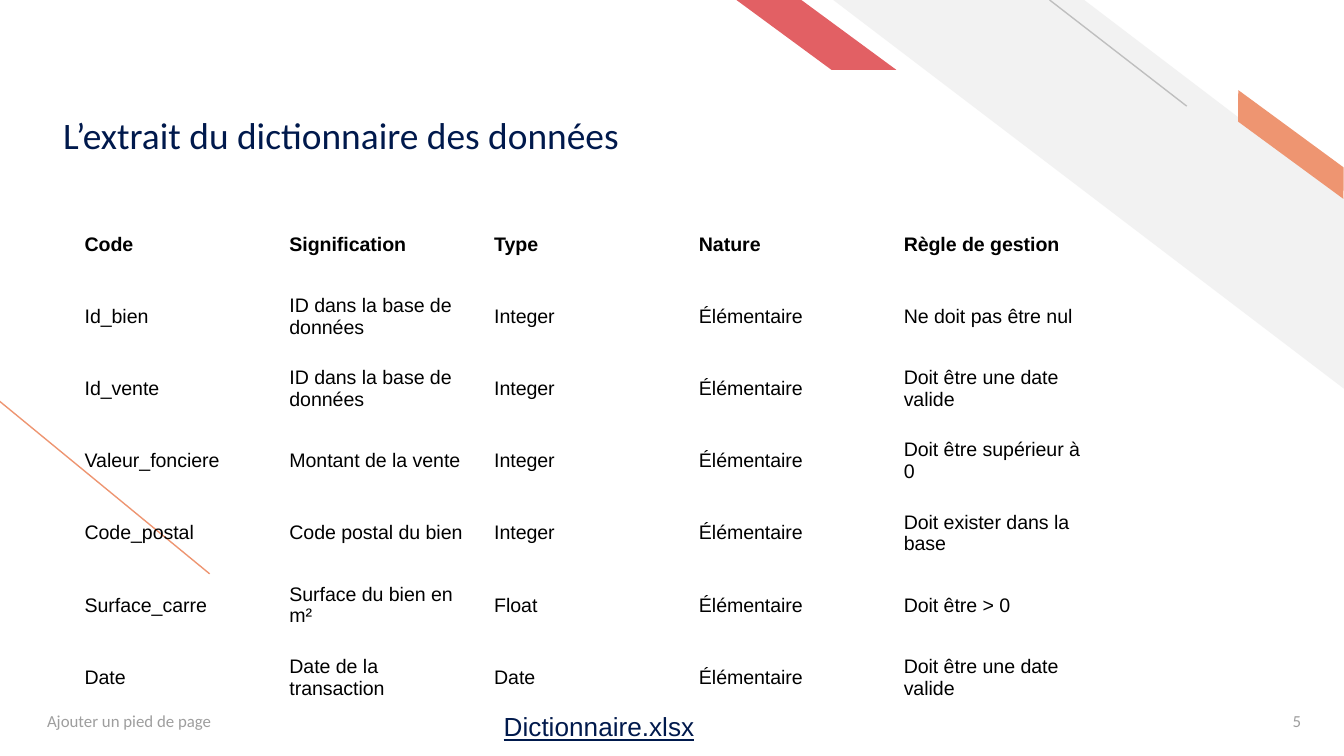
"""Build the data dictionary slide with its diagonal decoration."""
from typing import NamedTuple

from lxml import etree
from pptx import Presentation
from pptx import util as u
from pptx.dml.color import RGBColor
from pptx.enum import shapes, text
from pptx.oxml import ns

NAVY = RGBColor(0x00, 0x19, 0x4C)
BLACK = RGBColor(0x00, 0x00, 0x00)
GREY = RGBColor(0x9E, 0x9E, 0x9E)
SILVER = RGBColor(0xBF, 0xBF, 0xBF)
PALE = RGBColor(0xF2, 0xF2, 0xF2)
ORANGE = RGBColor(0xEE, 0x95, 0x71)
RED = RGBColor(0xE2, 0x60, 0x64)
NO_GRID = "{2D5ABB26-0587-4C30-8999-92F81FD0307C}"

Box = tuple[float, float, float, float]
Point = tuple[float, float]
SLANT = shapes.MSO_SHAPE.PARALLELOGRAM


class Band(NamedTuple):
    kind: shapes.MSO_SHAPE
    box: Box
    slope: float
    color: RGBColor
    turn: float = 0


class Rule(NamedTuple):
    start: Point
    end: Point
    color: RGBColor


class Label(NamedTuple):
    words: str
    box: Box
    size: float
    color: RGBColor
    font: str = "Calibri"
    pad: Box = (0.07, 0.04, 0.07, 0.04)
    anchor: text.MSO_ANCHOR = text.MSO_ANCHOR.MIDDLE
    align: text.PP_ALIGN = text.PP_ALIGN.LEFT
    under: bool = False
    space: float = 1.0


BANDS = [
    Band(shapes.MSO_SHAPE.DIAGONAL_STRIPE, (6.2, 0, 3.81, 2.9), 0.51, PALE),
    Band(SLANT, (9.05, 0.98, 1.11, 0.19), 0.72, ORANGE, 36.3),
    Band(SLANT, (5.48, 0, 1.19, 0.52), 1.36, RED),
]
RULES = [
    Rule((1.56, 4.27), (-0.01, 2.98), ORANGE),
    Rule((8.83, 0.79), (7.81, 0), SILVER),
]
LABELS = [
    Label("L’extrait du dictionnaire des données", (0.39, 0.23, 5.13, 0.94),
          20, NAVY, pad=(0.08, 0.04, 0.07, 0),
          anchor=text.MSO_ANCHOR.BOTTOM, space=0.9),
    Label("Ajouter un pied de page", (0.28, 5.21, 3.38, 0.3), 9, GREY),
    Label("5", (9.14, 5.21, 0.61, 0.3), 9, GREY, align=text.PP_ALIGN.RIGHT),
    Label("Dictionnaire.xlsx", (3.65, 5.24, 1.66, 0.34), 14, NAVY, "Arial",
          (0.1, 0.05, 0.1, 0.05), text.MSO_ANCHOR.TOP, under=True),
]
ROWS = [
    ("Code", "Signification", "Type", "Nature", "Règle de gestion"),
    ("Id_bien", "ID dans la base de données", "Integer", "Élémentaire",
     "Ne doit pas être nul"),
    ("Id_vente", "ID dans la base de données", "Integer", "Élémentaire",
     "Doit être une date valide"),
    ("Valeur_fonciere", "Montant de la vente", "Integer", "Élémentaire",
     "Doit être supérieur à 0"),
    ("Code_postal", "Code postal du bien", "Integer", "Élémentaire",
     "Doit exister dans la base"),
    ("Surface_carre", "Surface du bien en m²", "Float", "Élémentaire",
     "Doit être > 0"),
    ("Date", "Date de la transaction", "Date", "Élémentaire",
     "Doit être une date valide"),
]


def inches(nums: tuple[float, ...]) -> list[u.Length]:
    """Turn plain numbers into lengths."""
    return [u.Inches(num) for num in nums]


def style(font, name: str, size: float, color: RGBColor) -> None:
    """Set the face, size and colour of a run."""
    font.name, font.size = name, u.Pt(size)
    font.color.rgb = color


def draw_band(slide, band: Band) -> None:
    """Draw a mirrored diagonal band."""
    shape = slide.shapes.add_shape(band.kind, *inches(band.box))
    shape.adjustments[0] = band.slope
    shape.rotation = band.turn
    shape.element.spPr.xfrm.set("flipH", "1")
    shape.shadow.inherit = False
    shape.fill.solid()
    shape.fill.fore_color.rgb = band.color
    shape.line.fill.background()


def draw_rule(slide, rule: Rule) -> None:
    """Draw a thin straight line."""
    line = slide.shapes.add_connector(
        shapes.MSO_CONNECTOR.STRAIGHT, *inches(rule.start + rule.end))
    line.line.color.rgb = rule.color
    line.line.width = u.Pt(0.75)
    etree.SubElement(line.element.spPr, ns.qn("a:effectLst"))


def draw_label(slide, label: Label) -> None:
    """Draw one line of text in its box."""
    frame = slide.shapes.add_textbox(*inches(label.box)).text_frame
    frame.text = label.words
    frame.word_wrap = True
    frame.vertical_anchor = label.anchor
    (frame.margin_left, frame.margin_top,
     frame.margin_right, frame.margin_bottom) = inches(label.pad)
    para = frame.paragraphs[0]
    para.alignment = label.align
    para.line_spacing = label.space
    font = para.runs[0].font
    style(font, label.font, label.size, label.color)
    font.underline = label.under


def draw_table(slide, rows: list[tuple[str, ...]], box: Box) -> None:
    """Draw the dictionary as an unruled grid with a bold first row."""
    frame = slide.shapes.add_table(len(rows), len(rows[0]), *inches(box))
    table = frame.table
    table.horz_banding = False
    frame.element.find(".//" + ns.qn("a:tableStyleId")).text = NO_GRID
    for r, row in enumerate(rows):
        for c, words in enumerate(row):
            cell = table.cell(r, c)
            cell.text = words
            cell.fill.background()
            cell.vertical_anchor = text.MSO_ANCHOR.MIDDLE
            font = cell.text_frame.paragraphs[0].runs[0].font
            style(font, "Arial", 10.5, BLACK)
            font.bold = r == 0


def main() -> None:
    """Build and save the deck."""
    deck = Presentation()
    deck.slide_width = u.Inches(10)
    deck.slide_height = u.Inches(10 * 9 / 16)
    slide = deck.slides.add_slide(deck.slide_layouts[6])
    for band in BANDS:
        draw_band(slide, band)
    for rule in RULES:
        draw_rule(slide, rule)
    draw_table(slide, ROWS, (0.53, 1.55, 7.62, 3.76))
    for label in LABELS:
        draw_label(slide, label)
    deck.save("out.pptx")


if __name__ == "__main__":
    main()
